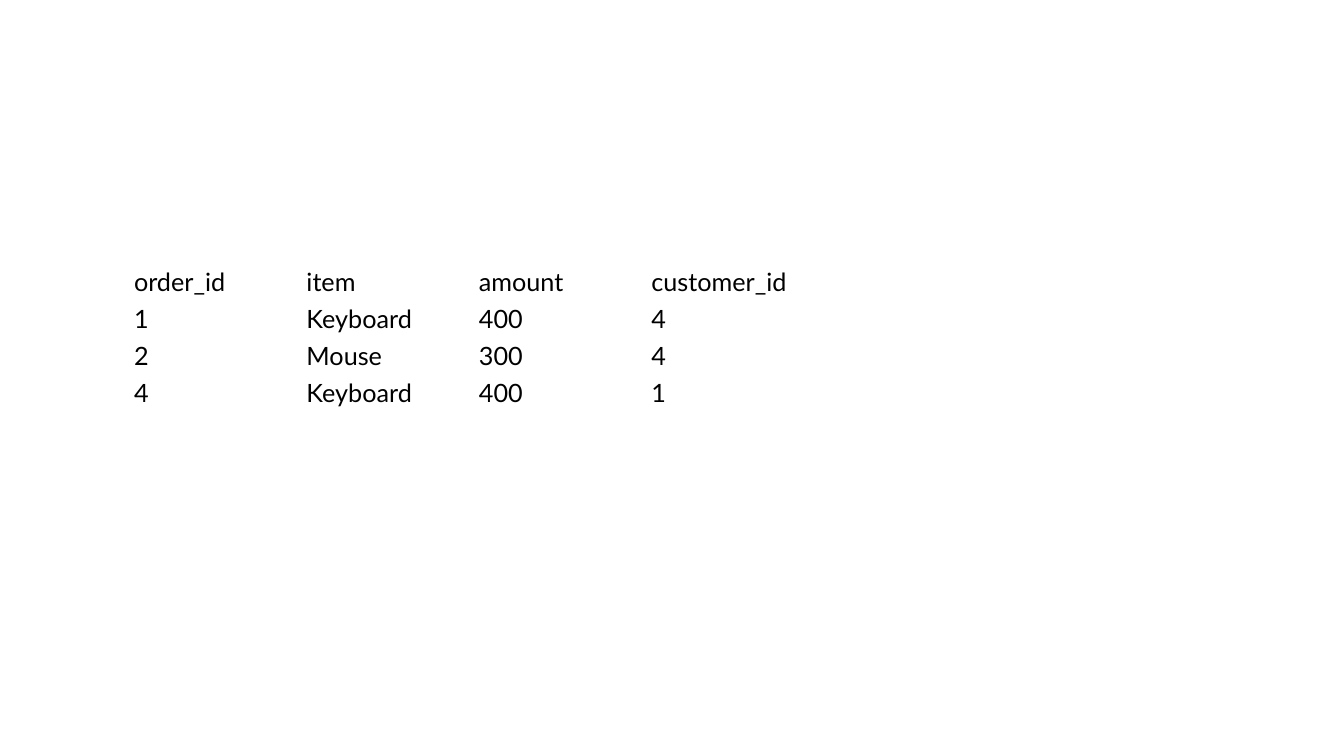
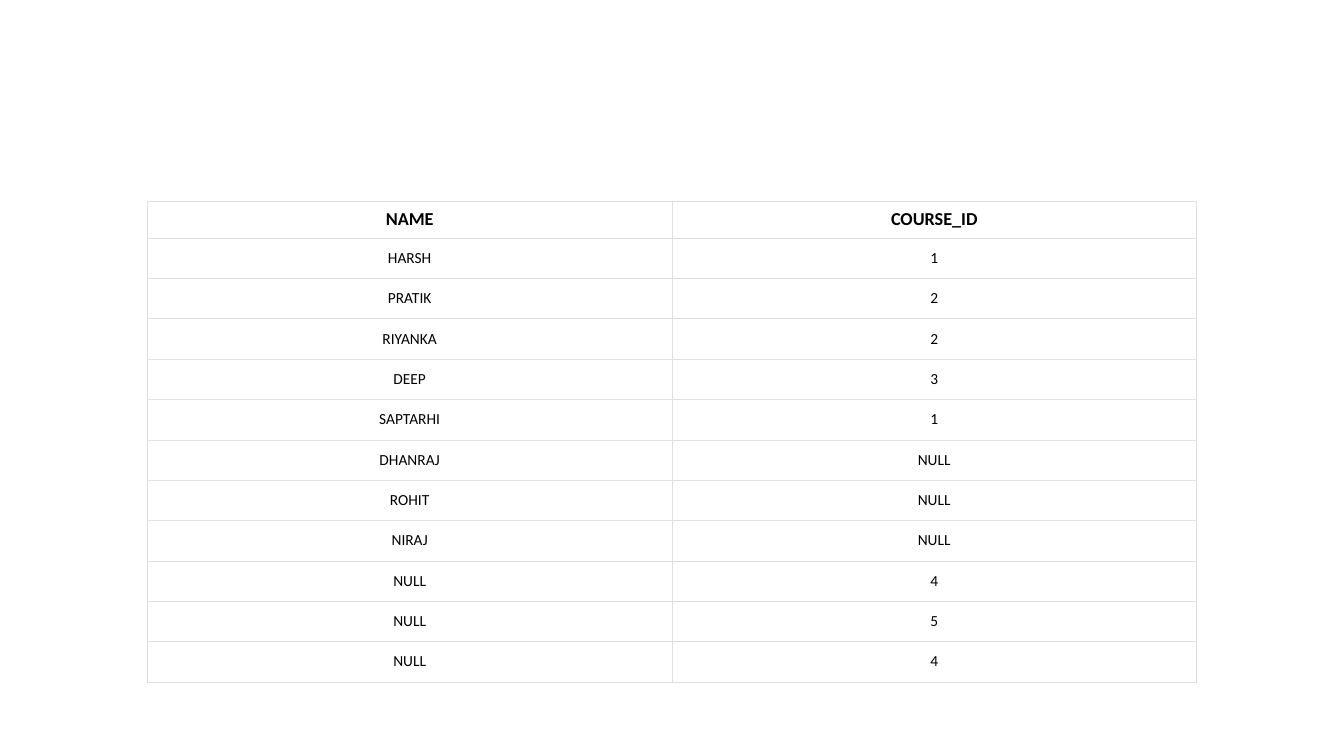
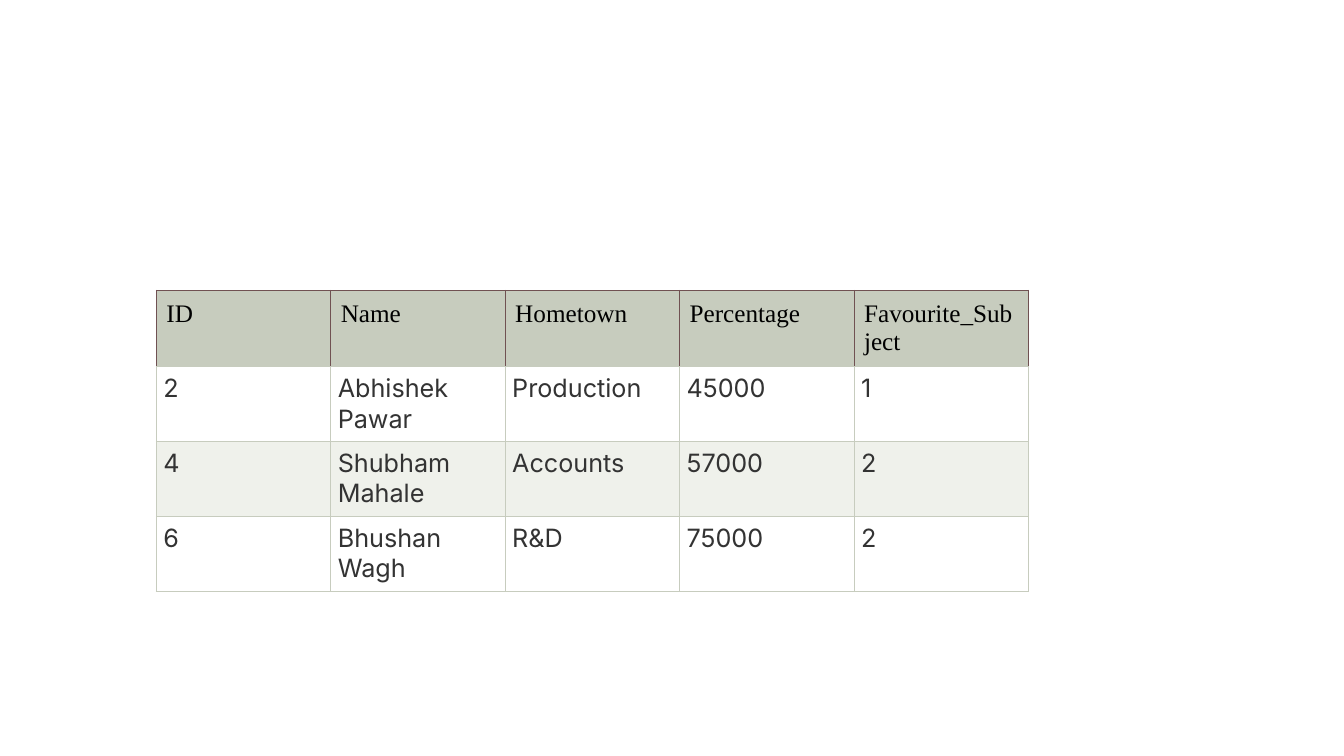
from dataclasses import dataclass

from lxml.etree import SubElement
from pptx import Presentation
from pptx.dml.color import RGBColor
from pptx.enum.text import MSO_ANCHOR, PP_ALIGN
from pptx.oxml.ns import qn
from pptx.util import Inches, Pt

# Shared colours
BLACK, WHITE, INK = "000000", "FFFFFF", "333333"
GRID_GREY, SAGE, PALE_SAGE, PLUM = "DFDFDF", "C7CCBE", "EFF1EB", "705152"


def colour(code):
    return RGBColor.from_string(code)


def write_text(frame, text, font="Calibri", size=18, ink=BLACK, bold=False,
               align=PP_ALIGN.LEFT):
    paragraph = frame.paragraphs[0]
    paragraph.alignment = align
    run = paragraph.add_run()
    run.text = text
    run.font.name = font
    run.font.size = Pt(size)
    run.font.bold = bold
    run.font.color.rgb = colour(ink)


@dataclass
class RowStyle:
    height: float            # percent of the slide height
    text: dict               # keywords for write_text
    inset: tuple             # horizontal and vertical, in inches
    fills: tuple = (None,)   # repeated over the rows
    edges: tuple = (None,) * 4   # left, right, top, bottom
    line: float = 0          # points
    anchor: MSO_ANCHOR = MSO_ANCHOR.MIDDLE


class Deck:
    """Holds the presentation and the current slide; lengths are percents."""

    def __init__(self):
        self.file = Presentation()
        self.file.slide_width = Inches(13.33)
        self.file.slide_height = Inches(7.5)
        self.slide = None

    def across(self, percent):
        return round(self.file.slide_width * percent / 100)

    def down(self, percent):
        return round(self.file.slide_height * percent / 100)

    def new_slide(self):
        self.slide = self.file.slides.add_slide(self.file.slide_layouts[6])
        self.slide.background.fill.solid()
        self.slide.background.fill.fore_color.rgb = colour(WHITE)

    def edge_cell(self, cell, style):
        properties = cell._tc.get_or_add_tcPr()
        for order, (side, code) in enumerate(zip("LRTB", style.edges)):
            edge = SubElement(properties, qn(f"a:ln{side}"))
            properties.insert(order, edge)
            if code is None:
                SubElement(edge, qn("a:noFill"))
            else:
                edge.set("w", str(int(Pt(style.line))))
                solid = SubElement(edge, qn("a:solidFill"))
                SubElement(solid, qn("a:srgbClr")).set("val", code)

    def fill_cell(self, cell, text, style, fill):
        cell.margin_left = cell.margin_right = Inches(style.inset[0])
        cell.margin_top = cell.margin_bottom = Inches(style.inset[1])
        cell.vertical_anchor = style.anchor
        if fill is None:
            cell.fill.background()
        else:
            cell.fill.solid()
            cell.fill.fore_color.rgb = colour(fill)
        self.edge_cell(cell, style)
        write_text(cell.text_frame, text, **style.text)

    def table(self, left, top, column, records, header, body):
        rows, columns = len(records), len(records[0])
        height = header.height + body.height * (rows - 1)
        grid = self.slide.shapes.add_table(
            rows, columns, self.across(left), self.down(top),
            self.across(column * columns), self.down(height)).table
        grid.first_row = grid.horz_banding = False
        for grid_column in grid.columns:
            grid_column.width = self.across(column)
        for number, record in enumerate(records):
            style = body if number else header
            grid.rows[number].height = self.down(style.height)
            fill = style.fills[(number - 1) % len(style.fills)]
            for position, text in enumerate(record):
                self.fill_cell(grid.cell(number, position), text, style, fill)


def main():
    deck = Deck()

    # Orders
    orders = [
        ("order_id", "item", "amount", "customer_id"),
        ("1", "Keyboard", "400", "4"),
        ("2", "Mouse", "300", "4"),
        ("4", "Keyboard", "400", "1"),
    ]
    plain = RowStyle(4.89, dict(font="Lato"), (0.15, 0.03))
    deck.new_slide()
    deck.table(8.85, 34.8, 12.83, orders, plain, plain)

    # Students and courses
    enrolments = [
        ("NAME", "COURSE_ID"), ("HARSH", "1"), ("PRATIK", "2"),
        ("RIYANKA", "2"), ("DEEP", "3"), ("SAPTARHI", "1"),
        ("DHANRAJ", "NULL"), ("ROHIT", "NULL"), ("NIRAJ", "NULL"),
        ("NULL", "4"), ("NULL", "5"), ("NULL", "4"),
    ]
    centre = dict(align=PP_ALIGN.CENTER)
    ruled = dict(fills=(WHITE,), edges=(GRID_GREY,) * 4, line=0.18)
    deck.new_slide()
    deck.table(
        10.97, 26.6, 39.03, enrolments,
        RowStyle(4.87, dict(size=13, bold=True, **centre), (0.08, 0.07), **ruled),
        RowStyle(5.34, dict(size=11, **centre), (0.08, 0.1), **ruled))

    # Employees
    employees = [
        ("ID", "Name", "Hometown", "Percentage", "Favourite_Subject"),
        ("2", "Abhishek Pawar", "Production", "45000", "1"),
        ("4", "Shubham Mahale", "Accounts", "57000", "2"),
        ("6", "Bhushan Wagh", "R&D", "75000", "2"),
    ]
    top_aligned = dict(line=0.6, anchor=MSO_ANCHOR.TOP)
    deck.new_slide()
    deck.table(
        11.63, 38.4, 12.98, employees,
        RowStyle(10, dict(font="Times New Roman"), (0.1, 0.1), (SAGE,),
                 (PLUM, PLUM, PLUM, SAGE), **top_aligned),
        RowStyle(9.83, dict(font="Inter", ink=INK, align=PP_ALIGN.JUSTIFY),
                 (0.07, 0.07), (WHITE, PALE_SAGE), (SAGE,) * 4, **top_aligned))

    deck.file.save("out.pptx")


if __name__ == "__main__":
    main()
